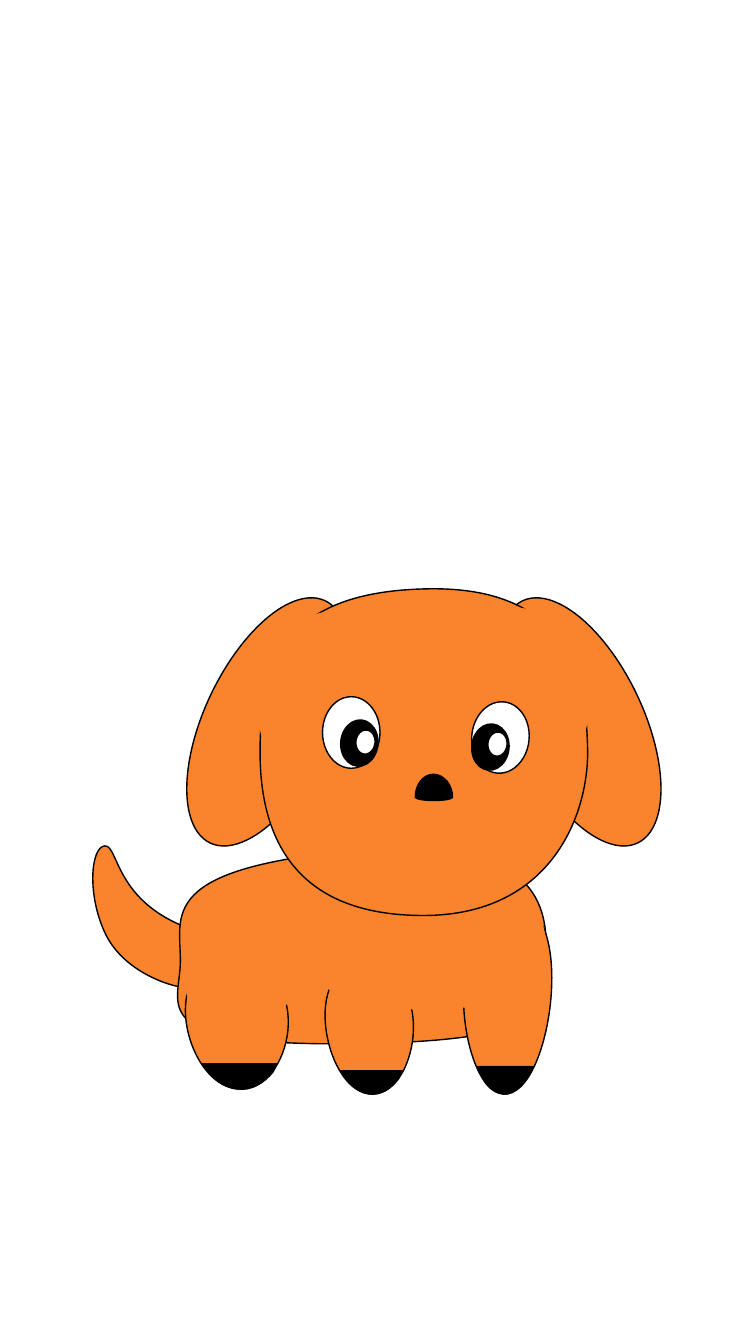
"""Draw an orange puppy on a tall white slide, on a grid of 750 by 1333 cells."""
import math

import lxml.etree
import pptx
import pptx.dml.color
import pptx.enum.shapes
import pptx.oxml.ns
import pptx.util

theme = {"coat": "F9842D", "ink": "000000", "white": "FFFFFF", "line": pptx.util.Pt(1)}
cell = pptx.util.Inches(0.01)
cols, rows = 750, 1333
steps = 48
name = pptx.oxml.ns.qn


def paint(shape, fill, edge="ink"):
    shape.shadow.inherit = False
    shape.fill.solid()
    shape.fill.fore_color.rgb = pptx.dml.color.RGBColor.from_string(theme[fill])
    if edge:
        shape.line.color.rgb = pptx.dml.color.RGBColor.from_string(theme[edge])
        shape.line.width = theme["line"]
    else:
        shape.line.fill.background()


def trace(start, parts, fill, edge="ink", turn=0):
    cos, sin = math.cos(math.radians(turn)), math.sin(math.radians(turn))
    knots = [[(x * cos + y * sin, y * cos - x * sin) for x, y in zip(part[::2], part[1::2])]
             for part in [start, *parts]]
    dots = [knots[0][0]]
    for knot in knots[1:]:
        if len(knot) == 3:
            a, b, c, d = dots[-1], *knot
            for t in (step / steps for step in range(1, steps)):
                u = 1 - t
                dots.append(tuple(u**3 * a[i] + 3 * u * u * t * b[i] + 3 * u * t * t * c[i]
                                  + t**3 * d[i] for i in (0, 1)))
        dots.append(knot[-1])
    xs, ys = zip(*dots)
    left, top = min(xs), min(ys)
    wide, high = max(xs) - left, max(ys) - top
    midx, midy = left + wide / 2, top + high / 2
    x = (midx * cos - midy * sin - wide / 2) * cell
    y = (midx * sin + midy * cos - high / 2) * cell
    pen = puppy.shapes.build_freeform(x, y)
    pen.add_line_segments([(x + wide * cell, y), (x + wide * cell, y + high * cell)])
    shape = pen.convert_to_shape()
    shape.rotation = turn
    outline = next(shape.element.iter(name("a:path")))
    for node in list(outline):
        outline.remove(node)
    for i, knot in enumerate(knots):
        kind = "a:moveTo" if i == 0 else "a:lnTo" if len(knot) == 1 else "a:cubicBezTo"
        node = lxml.etree.SubElement(outline, name(kind))
        for px, py in knot:
            lxml.etree.SubElement(node, name("a:pt"), x=str(round((px - left) * cell)),
                                  y=str(round((py - top) * cell)))
    lxml.etree.SubElement(outline, name("a:close"))
    paint(shape, fill, edge)


deck = pptx.Presentation()
deck.slide_width, deck.slide_height = cols * cell, rows * cell
slide = deck.slides.add_slide(deck.slide_layouts[6])
rect = pptx.enum.shapes.MSO_SHAPE.RECTANGLE
oval = pptx.enum.shapes.MSO_SHAPE.OVAL

ground = slide.shapes.add_shape(rect, 0, 433 * cell, cols * cell, 900 * cell)
paint(ground, "white", "white")
puppy = slide.shapes.add_group_shape()

tail = [(113, 895, 118, 838, 104, 839), (90, 840, 86, 888, 105, 927),
        (125, 967, 176, 981, 190, 980), (204, 979, 269, 950, 191, 922)]
trace((191, 922), tail, "coat", turn=333.7)

for left, turn in ((203, 25.4), (513, 334.6)):
    ear = puppy.shapes.add_shape(oval, left * cell, 583 * cell, 125 * cell, 266 * cell)
    ear.rotation = turn
    paint(ear, "coat")

body = [(541, 921, 557, 826, 357, 843), (156, 861, 179, 907, 179, 953),
        (179, 998, 139, 1039, 361, 1035), (582, 1031, 543, 985, 542, 953)]
legs = [
    ((235, 1080), [(290, 1086, 315, 962, 235, 953), (155, 943, 180, 1074, 235, 1080)]),
    ((366, 1085), [(414, 1091, 435, 967, 366, 958), (298, 948, 319, 1079, 366, 1085)]),
    ((504, 1085), [(456, 1093, 435, 912, 504, 898), (572, 884, 551, 1076, 504, 1085)]),
]
for start, parts in [((542, 953), body), *legs]:
    trace(start, parts, "coat")

chest = [(267, 861, 510, 803, 539, 918), (568, 1033, 304, 1019, 285, 940)]
trace((285, 940), chest, "coat", None, 85.1)

head = [(582, 680, 570, 582, 426, 584), (283, 586, 258, 656, 258, 746),
        (258, 835, 296, 908, 420, 908), (545, 908, 583, 811, 583, 746)]
trace((583, 746), head, "coat")

cheek = [(418, 617, 537, 547, 577, 665), (618, 784, 472, 781, 445, 699)]
trace((445, 699), cheek, "coat", None, 75.9)
axis, drop = 840, 4
twin = [tuple(n + drop if i % 2 else axis - n for i, n in enumerate(part)) for part in cheek]
trace((axis - 445, 699 + drop), twin, "coat", None, 284.1)

hip = [(172, 1019, 157, 924, 244, 928), (332, 933, 291, 1026, 232, 1023)]
trace((232, 1023), hip, "coat", None, 7.6)

toes = [
    ((399, 1062), [(338, 1062), (344, 1070), (350, 1078, 358, 1084, 367, 1085),
                   (378, 1086, 388, 1080, 396, 1069)]),
    ((275, 1055), [(201, 1055), (207, 1064), (215, 1073, 225, 1079, 235, 1080),
                   (250, 1082, 262, 1074, 271, 1063)]),
    ((474, 1058), [(529, 1058), (524, 1068), (518, 1077, 511, 1083, 503, 1085),
                   (492, 1086, 483, 1079, 477, 1066)]),
]
for start, parts in toes:
    trace(start, parts, "ink")

eyes = [
    (320, 691, 57, 71, 0, "white"), (468, 696, 57, 71, 5.7, "white"),
    (468, 718, 37, 46, 5.7, "ink"), (338, 714, 37, 46, 5.7, "ink"),
    (353, 724, 19, 24, 5.7, "white"), (484, 726, 19, 24, 5.7, "white"),
]
for left, top, wide, high, turn, fill in eyes:
    eye = puppy.shapes.add_shape(oval, left * cell, top * cell, wide * cell, high * cell)
    eye.rotation = turn
    paint(eye, fill)

nose = [(412, 778, 420, 768, 430, 768), (440, 768, 449, 778, 449, 791),
        (446, 795, 415, 795, 412, 791)]
trace((412, 791), nose, "ink")

deck.save("out.pptx")
